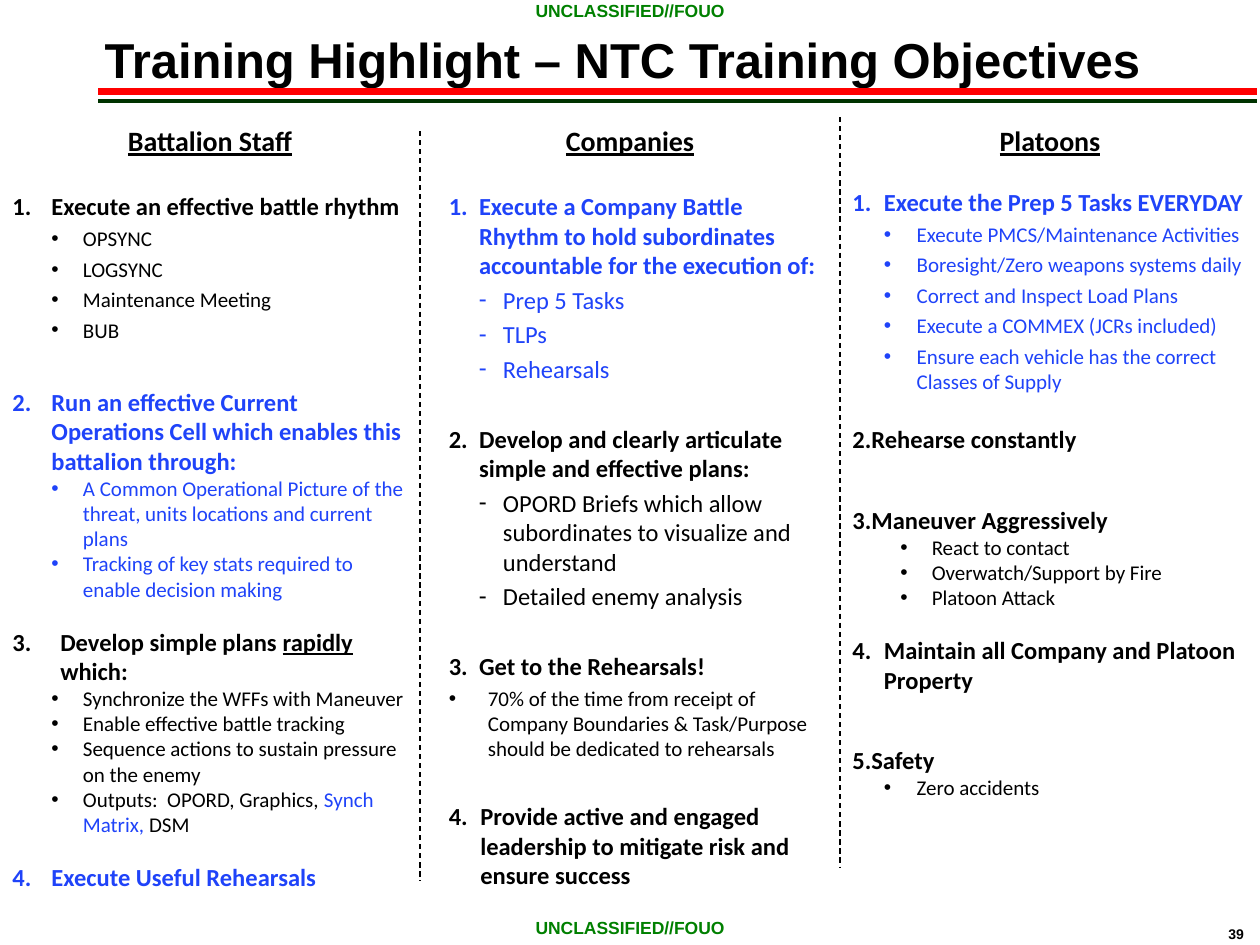
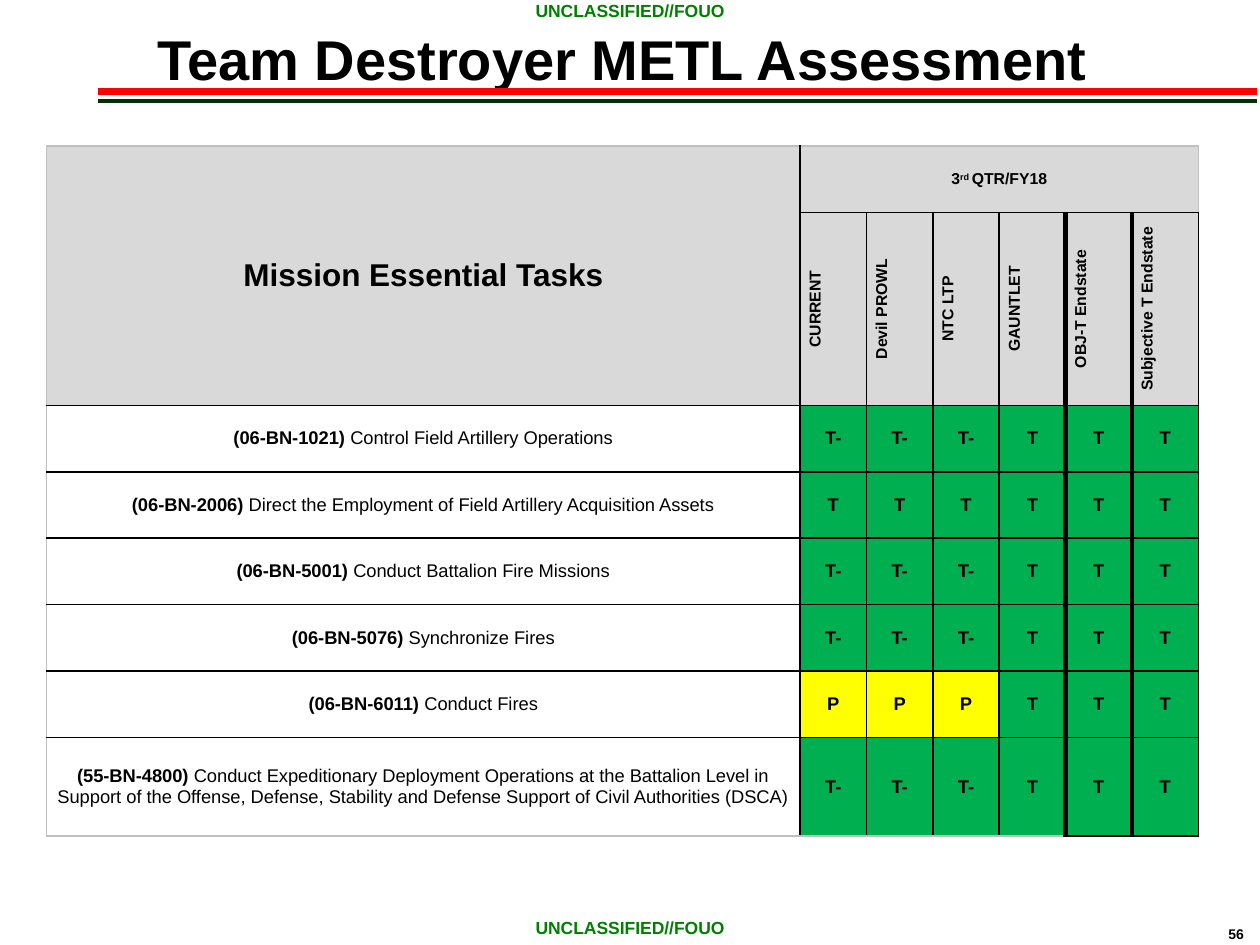
from lxml import etree
from pptx import Presentation
from pptx.dml.color import RGBColor
from pptx.enum.dml import MSO_LINE
from pptx.enum.shapes import MSO_CONNECTOR
from pptx.enum.text import MSO_ANCHOR, MSO_AUTO_SIZE, PP_ALIGN
from pptx.oxml.ns import qn
from pptx.util import Inches, Pt

MID, TOP = MSO_ANCHOR.MIDDLE, MSO_ANCHOR.TOP
LEFT, CENTER = PP_ALIGN.LEFT, PP_ALIGN.CENTER
DASH, STRAIGHT = MSO_LINE.DASH, MSO_CONNECTOR.STRAIGHT
FIXED = MSO_AUTO_SIZE.NONE
WIDE, HIGH = 10, 7.5
INK, BLUE, GREEN, MARK = "000000", "1F43F9", "00B050", "008000"
RED, PINE, YELLOW, WHITE = "FF0000", "003300", "FFFF00", "FFFFFF"
GREY, EDGE = "D9D9D9", "BFBFBF"
TEXT = {"name": "Arial", "bold": True, "size": Pt(10), "color": INK}
BODY = {**TEXT, "name": "Calibri", "underline": False}
HEAD = {"size": Pt(16), "underline": True}
TASK = {"size": Pt(14)}
NOTE = {"size": Pt(12), "bold": False}
STEP = {"size": Pt(14), "bold": False}


def tone(code):
    return RGBColor.from_string(code)


def styled(font, level, left, hang, after=0, mark=None):
    return {"font": font, "level": level, "left": left, "hang": hang,
            "after": after, "mark": mark}


class Deck:
    def __init__(self):
        self.file = Presentation()
        self.file.slide_width = Inches(WIDE)
        self.file.slide_height = Inches(HIGH)
        self.slide = None

    def wide(self, share):
        return Inches(WIDE * share / 100)

    def high(self, share):
        return Inches(HIGH * share / 100)

    def frame(self, x, y, w, h):
        return self.wide(x), self.high(y), self.wide(w), self.high(h)

    def page(self, title, size, number):
        self.slide = self.file.slides.add_slide(self.file.slide_layouts[5])
        self.line((7.8, 9.73), (99.8, 9.73), RED, 4)
        self.line((7.8, 10.67), (99.8, 10.67), PINE, 2.25)
        self.label(str(number), (96.5, 97.33, 3.4, 3.2), {"size": Pt(8)}, LEFT, False)
        for y in (-0.67, 96.4):
            self.label("UNCLASSIFIED//FOUO", (39.8, y, 20.4, 5.87), {"color": MARK})
        head = self.slide.shapes.title
        place = self.frame(3.7, 1.33, 91.4, 9.73)
        for key, value in zip(("left", "top", "width", "height"), place):
            setattr(head, key, value)
        box = head.text_frame
        box.auto_size, box.vertical_anchor = FIXED, MID
        self.fill_par(box.paragraphs[0], title, {**TEXT, "size": Pt(size)}, CENTER)

    def fill_par(self, par, runs, base, align=LEFT):
        par.alignment = align
        for text, extra in [(runs, {})] if isinstance(runs, str) else runs:
            run = par.add_run()
            run.text = text
            for key, value in {**base, **extra}.items():
                if key == "color":
                    run.font.color.rgb = tone(value)
                elif key == "raise":
                    run._r.get_or_add_rPr().set("baseline", str(value * 1000))
                else:
                    setattr(run.font, key, value)

    def box(self, place, wrap=True):
        box = self.slide.shapes.add_textbox(*self.frame(*place)).text_frame
        box.word_wrap, box.vertical_anchor = wrap, TOP
        return box

    def label(self, text, place, style, align=CENTER, wrap=True):
        par = self.box(place, wrap).paragraphs[0]
        self.fill_par(par, text, {**TEXT, **style}, align)

    def line(self, start, end, color, width, dash=None):
        (x, y), (right, low) = start, end
        link = self.slide.shapes.add_connector(
            STRAIGHT, self.wide(x), self.high(y), self.wide(right), self.high(low))
        link.line.color.rgb, link.line.width = tone(color), Pt(width)
        if dash:
            link.line.dash_style = dash
        etree.SubElement(link._element.spPr, qn("a:effectLst"))

    def bullet(self, par, style, start):
        prop = par._p.get_or_add_pPr()
        prop.set("marL", str(Inches(style["left"])))
        prop.set("indent", str(Inches(-style["hang"])))
        if style["mark"]:
            face = "Arial" if style["mark"] == "•" else "Calibri"
            etree.SubElement(prop, qn("a:buFont"), typeface=face)
            etree.SubElement(prop, qn("a:buChar"), char=style["mark"])
        else:
            etree.SubElement(prop, qn("a:buFont"), typeface="+mj-lt")
            etree.SubElement(prop, qn("a:buAutoNum"), type="arabicPeriod",
                             startAt=str(start))

    def column(self, place, head, styles, items):
        box = self.box(place)
        self.fill_par(box.paragraphs[0], head, {**BODY, **HEAD}, CENTER)
        count = 0
        for kind, color, before, runs in items:
            style = styles[kind]
            count += style["mark"] is None
            par = box.add_paragraph()
            par.level = style["level"]
            self.bullet(par, style, count)
            par.space_before, par.space_after = Pt(before), Pt(style["after"])
            self.fill_par(par, runs, {**BODY, **style["font"], "color": color})

    def grid(self, place, cols, rows):
        shape = self.slide.shapes.add_table(len(rows), len(cols), *self.frame(*place))
        table = shape.table
        table.first_row = table.horz_banding = False
        for col, share in zip(table.columns, cols):
            col.width = self.wide(share)
        for row, share in zip(table.rows, rows):
            row.height = self.high(share)
        return table

    def cell(self, cell, runs, size, fill, inset=None, turn=False):
        cell.fill.solid()
        cell.fill.fore_color.rgb = tone(fill)
        cell.vertical_anchor = MID
        if inset:
            cell.margin_left = cell.margin_right = self.wide(inset[0])
            cell.margin_top = cell.margin_bottom = self.high(inset[1])
        if turn:
            cell._tc.get_or_add_tcPr().set("vert", "vert270")
        par = cell.text_frame.paragraphs[0]
        self.fill_par(par, runs, {**TEXT, "size": Pt(size)}, CENTER)

    def border(self, cell, sides):
        prop = cell._tc.get_or_add_tcPr()
        for spot, (side, (color, width)) in enumerate(sides.items()):
            edge = etree.Element(qn("a:ln" + side), w=str(Pt(width)))
            fill = etree.SubElement(edge, qn("a:solidFill"))
            etree.SubElement(fill, qn("a:srgbClr"), val=color)
            prop.insert(spot, edge)


STAFF = {
    "task": styled(TASK, 0, 0.31, 0.31),
    "open": styled(TASK, 0, 0.31, 0.31, 3),
    "plan": styled(TASK, 0, 0.38, 0.38),
    "meet": styled(NOTE, 1, 0.56, 0.25, 3, "•"),
    "note": styled(NOTE, 1, 0.56, 0.25, 0, "•"),
}
UNITS = {
    "task": styled(TASK, 1, 0.37, 0.24, 3),
    "lead": styled(TASK, 1, 0.38, 0.25, 3),
    "step": styled(STEP, 2, 0.56, 0.19, 3, "‐"),
    "note": styled(NOTE, 1, 0.44, 0.31, 3, "•"),
}
TROOPS = {
    "open": styled(TASK, 0, 0.25, 0.25, 3),
    "task": styled(TASK, 0, 0.25, 0.25),
    "tight": styled(TASK, 0, 0.13, 0.25),
    "prep": styled(NOTE, 1, 0.51, 0.26, 3, "•"),
    "drill": styled(NOTE, 1, 0.63, 0.25, 0, "•"),
    "note": styled(NOTE, 0, 0.51, 0.26, 0, "•"),
}
GOALS = [
    ("Battalion Staff", STAFF, 80.1, [
        ("open", INK, 19.5, "Execute an effective battle rhythm"),
        ("meet", INK, 0, "OPSYNC"),
        ("meet", INK, 0, "LOGSYNC"),
        ("meet", INK, 0, "Maintenance Meeting"),
        ("meet", INK, 0, "BUB"),
        ("task", BLUE, 22.5, "Run an effective Current Operations Cell which enables "
                             "this battalion through:"),
        ("note", BLUE, 0, "A Common Operational Picture of the threat, units locations "
                          "and current plans"),
        ("note", BLUE, 0, "Tracking of key stats required to enable decision making"),
        ("plan", INK, 14.6, [("Develop simple plans ", {}),
                             ("rapidly", {"underline": True}), (" which:", {})]),
        ("note", INK, 0, "Synchronize the WFFs with Maneuver"),
        ("note", INK, 0, "Enable effective battle tracking"),
        ("note", INK, 0, "Sequence actions to sustain pressure on the enemy"),
        ("note", INK, 0, [("Outputs:  OPORD, Graphics, ", {}),
                          ("Synch Matrix, ", {"color": BLUE}), ("DSM", {})]),
        ("task", BLUE, 14.6, "Execute Useful Rehearsals"),
    ]),
    ("Companies", UNITS, 83.1, [
        ("task", BLUE, 19.5, "Execute a Company Battle Rhythm to hold subordinates "
                             "accountable for the execution of:"),
        ("step", BLUE, 0, "Prep 5 Tasks"),
        ("step", BLUE, 0, "TLPs"),
        ("step", BLUE, 0, "Rehearsals"),
        ("task", INK, 20, "Develop and clearly articulate simple and effective plans:"),
        ("step", INK, 0, "OPORD Briefs which allow subordinates to visualize and "
                         "understand"),
        ("step", INK, 0, "Detailed enemy analysis"),
        ("task", INK, 20, "Get to the Rehearsals!"),
        ("note", INK, 0, "70% of the time from receipt of Company Boundaries & "
                         "Task/Purpose should be dedicated to rehearsals"),
        ("lead", INK, 20, "Provide active and engaged leadership to mitigate risk and "
                          "ensure success"),
    ]),
    ("Platoons", TROOPS, 73.9, [
        ("open", BLUE, 17, "Execute the Prep 5 Tasks EVERYDAY"),
        ("prep", BLUE, 0, "Execute PMCS/Maintenance Activities"),
        ("prep", BLUE, 0, "Boresight/Zero weapons systems daily"),
        ("prep", BLUE, 0, "Correct and Inspect Load Plans"),
        ("prep", BLUE, 0, "Execute a COMMEX (JCRs included)"),
        ("prep", BLUE, 0, "Ensure each vehicle has the correct Classes of Supply"),
        ("tight", INK, 14.6, "Rehearse constantly"),
        ("tight", INK, 29.2, "Maneuver Aggressively"),
        ("drill", INK, 0, "React to contact"),
        ("drill", INK, 0, "Overwatch/Support by Fire"),
        ("drill", INK, 0, "Platoon Attack"),
        ("task", INK, 14.6, "Maintain all Company and Platoon Property"),
        ("tight", INK, 29.2, "Safety"),
        ("note", INK, 0, "Zero accidents"),
    ]),
]
STAGES = ["CURRENT", "Devil PROWL", "NTC LTP", "GAUNTLET", "OBJ-T Endstate",
          "Subjective T Endstate"]
RATED = [
    ("06-BN-1021", "Control Field Artillery Operations", "T-"),
    ("06-BN-2006", "Direct the Employment of Field Artillery Acquisition Assets", "T"),
    ("06-BN-5001", "Conduct Battalion Fire Missions", "T-"),
    ("06-BN-5076", "Synchronize Fires", "T-"),
    ("06-BN-6011", "Conduct Fires", "P"),
    ("55-BN-4800", "Conduct Expeditionary Deployment Operations at the Battalion Level in "
     "Support of the Offense, Defense, Stability and Defense Support of Civil "
     "Authorities (DSCA)", "T-"),
]


def goals(deck):
    deck.page("Training Highlight – NTC Training Objectives", 28, 39)
    third = 100 / 3
    for spot, (head, styles, tall, items) in enumerate(GOALS):
        deck.column((spot * third, 12.4, third, tall), head, styles, items)
    for spot, top in ((1, 13.87), (2, 12.4)):
        deck.line((spot * third, top), (spot * third, top + 79.33), INK, 0.75, DASH)


def frame_cells(deck, table):
    last, end = len(table.rows), len(table.columns)
    for row in range(last):
        for col in range(end):
            cell = table.cell(row, col)
            if cell.is_spanned:
                continue
            right, low = col + 1, row + 1
            if cell.is_merge_origin:
                right, low = col + cell.span_width, row + cell.span_height
            deck.border(cell, {
                "L": (INK if col else EDGE, 3 if col in (5, 6) else 1),
                "R": (EDGE if row == 0 and right == end else INK,
                      3 if right in (5, 6) else 1),
                "T": (INK if row else EDGE, 1),
                "B": (EDGE if low == last and col < 5 else INK, 1),
            })


def ratings(deck):
    deck.page("Team Destroyer METL Assessment", 32, 56)
    rows = [7.03, 20.4] + [7.03] * 5 + [10.4]
    table = deck.grid((3.7, 15.47, 91.4, 73.07), [59.8] + [5.27] * 6, rows)
    table.cell(0, 0).merge(table.cell(1, 0))
    table.cell(0, 1).merge(table.cell(0, 6))
    deck.cell(table.cell(0, 0), "Mission Essential Tasks", 18, GREY)
    term = [("3", {}), ("rd ", {"raise": 30}), ("QTR/FY18", {})]
    deck.cell(table.cell(0, 1), term, 9, GREY)
    for col, stage in enumerate(STAGES, 1):
        deck.cell(table.cell(1, col), stage, 9, GREY, turn=True)
    inset = (0.7, 0.53)
    for row, (code, task, grade) in enumerate(RATED, 2):
        name = [(f"({code}) ", {}), (task, {"bold": False})]
        deck.cell(table.cell(row, 0), name, 10.5, WHITE, inset)
        for col, mark in enumerate([grade] * 3 + ["T"] * 3, 1):
            fill = YELLOW if mark == "P" else GREEN
            deck.cell(table.cell(row, col), mark, 10.5, fill, inset)
    frame_cells(deck, table)


def main():
    deck = Deck()
    goals(deck)
    ratings(deck)
    deck.file.save("out.pptx")


if __name__ == "__main__":
    main()
